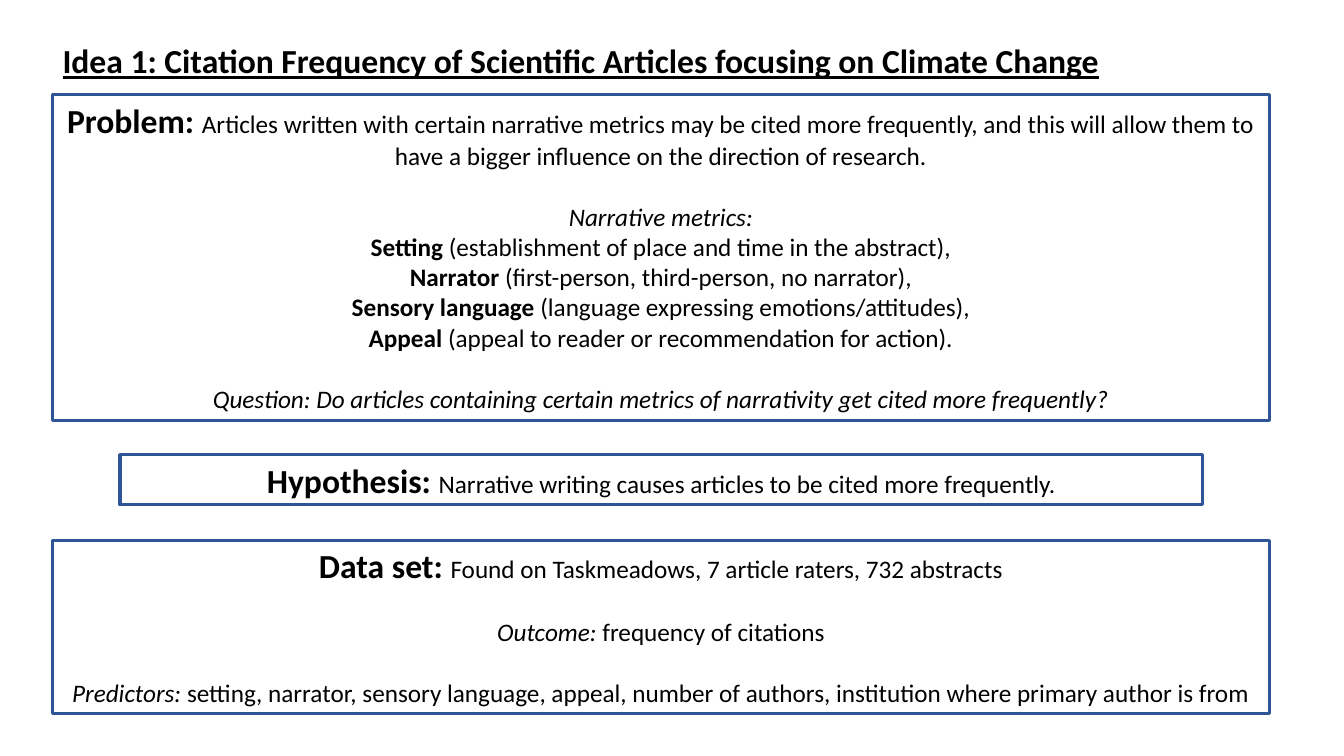
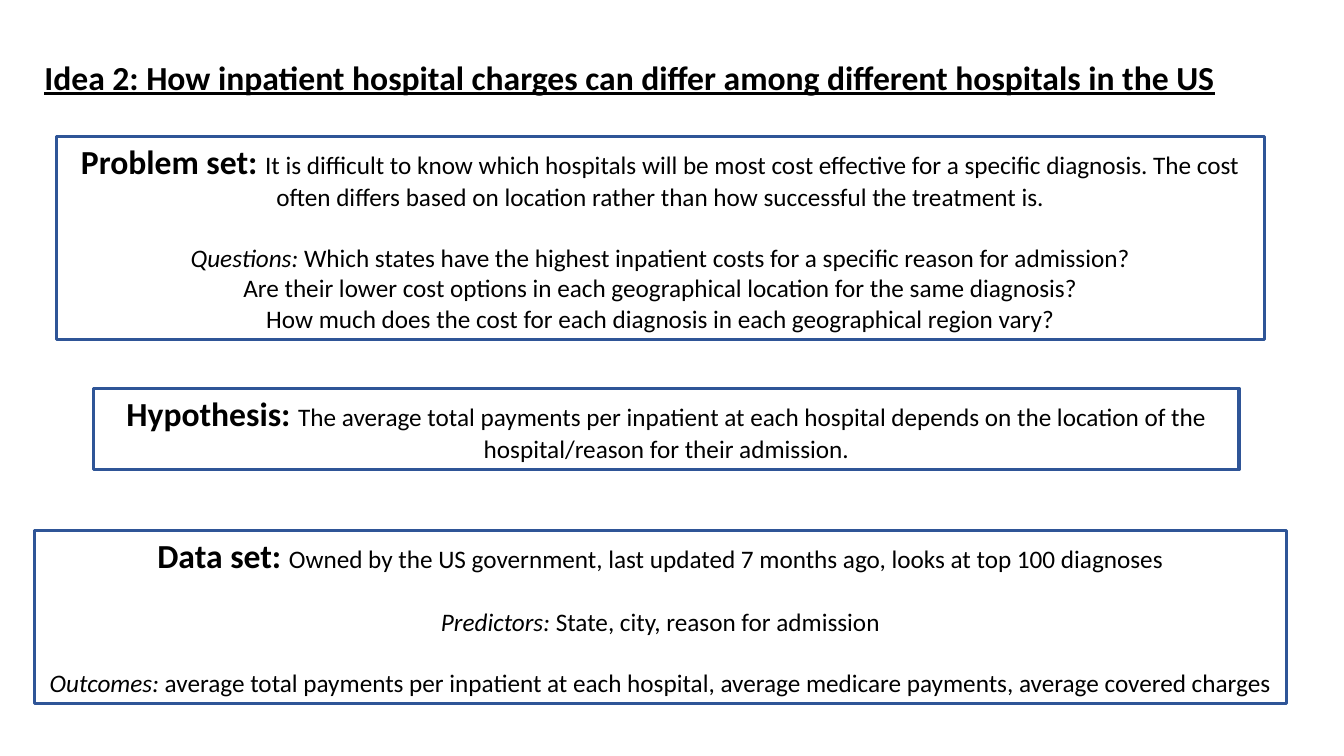
from dataclasses import dataclass

from pptx import Presentation
from pptx.dml.color import RGBColor
from pptx.enum.shapes import MSO_SHAPE
from pptx.enum.text import MSO_ANCHOR, MSO_AUTO_SIZE, PP_ALIGN
from pptx.util import Inches, Pt


@dataclass(frozen=True)
class Theme:
    font: str = "Calibri"
    ink: RGBColor = RGBColor(0x00, 0x00, 0x00)
    border: RGBColor = RGBColor(0x2F, 0x55, 0x97)
    border_width: Pt = Pt(2.25)
    heading_size: Pt = Pt(24)
    body_size: Pt = Pt(18)
    section_gap: Pt = Pt(22)


THEME = Theme()
TITLE_ONLY = 5
HEADING = dict(size=THEME.heading_size, bold=True)
BOLD = dict(bold=True)
ITALIC = dict(italic=True)
PLAIN = dict()

IDEAS = [
    dict(
        title="Idea 1: Citation Frequency of Scientific Articles focusing on Climate Change",
        title_box=(0.52, 0.35, 10.59, 0.5),
        panels=[
            ((0.52, 0.94, 12.07, 3.23), [
                [[("Problem: ", HEADING),
                  ("Articles written with certain narrative metrics may be cited more frequently, "
                   "and this will allow them to have a bigger influence on the direction of research.", PLAIN)]],
                [[("Narrative metrics:", ITALIC)],
                 [("Setting", BOLD), (" (establishment of place and time in the abstract),", PLAIN)],
                 [("Narrator", BOLD), (" (first-person, third-person, no narrator),", PLAIN)],
                 [("Sensory language ", BOLD), ("(language expressing emotions/attitudes),", PLAIN)],
                 [("Appeal", BOLD), (" (appeal to reader or recommendation for action).", PLAIN)]],
                [[("Question: Do articles containing certain metrics of narrativity "
                   "get cited more frequently?", ITALIC)]],
            ]),
            ((1.19, 4.51, 10.74, 0.5), [
                [[("Hypothesis: ", HEADING),
                  ("Narrative writing causes articles to be cited more frequently.", PLAIN)]],
            ]),
            ((0.52, 5.36, 12.07, 1.72), [
                [[("Data set: ", HEADING), ("Found on Taskmeadows, 7 article raters, 732 abstracts", PLAIN)]],
                [[("Outcome: ", ITALIC), ("frequency of citations", PLAIN)]],
                [[("Predictors: ", ITALIC),
                  ("setting, narrator, sensory language, appeal, number of authors, "
                   "institution where primary author is from", PLAIN)]],
            ]),
        ],
    ),
    dict(
        title="Idea 2: How inpatient hospital charges can differ among different hospitals in the US",
        title_box=(0.34, 0.51, 12.1, 0.5),
        panels=[
            ((0.56, 1.35, 11.98, 2.02), [
                [[("Problem set: ", HEADING),
                  ("It is difficult to know which hospitals will be most cost effective for a specific diagnosis. "
                   "The cost often differs based on location rather than how successful the treatment is.", PLAIN)]],
                [[("Questions:", ITALIC),
                  (" Which states have the highest inpatient costs for a specific reason for admission?", PLAIN)],
                 [("Are their lower cost options in each geographical location for the same diagnosis?", PLAIN)],
                 [("How much does the cost for each diagnosis in each geographical region vary?", PLAIN)]],
            ]),
            ((0.93, 3.85, 11.36, 0.81), [
                [[("Hypothesis: ", HEADING),
                  ("The average total payments per inpatient at each hospital depends on the location of the "
                   "hospital/reason for their admission.", PLAIN)]],
            ]),
            ((0.34, 5.26, 12.42, 1.72), [
                [[("Data set: ", HEADING),
                  ("Owned by the US government, last updated 7 months ago, looks at top 100 diagnoses", PLAIN)]],
                [[("Predictors: ", ITALIC), ("State, city, reason for admission", PLAIN)]],
                [[("Outcomes: ", ITALIC),
                  ("average total payments per inpatient at each hospital, average medicare payments, "
                   "average covered charges", PLAIN)]],
            ]),
        ],
    ),
]


def add_text(para, text, size=THEME.body_size, bold=False, italic=False, underline=False):
    span = para.add_run()
    span.text = text
    font = span.font
    font.name = THEME.font
    font.size = size
    font.bold = bold
    font.italic = italic
    font.underline = underline
    font.color.rgb = THEME.ink


def format_frame(frame, auto_size):
    frame.word_wrap = True
    frame.auto_size = auto_size
    frame.vertical_anchor = MSO_ANCHOR.TOP
    frame.margin_left = frame.margin_right = Inches(0.1)
    frame.margin_top = frame.margin_bottom = Inches(0.05)


def place_title(page, text, box):
    title = page.shapes.title
    title.left, title.top, title.width, title.height = map(Inches, box)
    format_frame(title.text_frame, MSO_AUTO_SIZE.NONE)
    para = title.text_frame.paragraphs[0]
    para.alignment = PP_ALIGN.LEFT
    add_text(para, text, underline=True, **HEADING)


def add_panel(page, box, sections):
    panel = page.shapes.add_shape(MSO_SHAPE.RECTANGLE, *map(Inches, box))
    panel.shadow.inherit = False
    panel.fill.background()
    panel.line.color.rgb = THEME.border
    panel.line.width = THEME.border_width
    frame = panel.text_frame
    format_frame(frame, MSO_AUTO_SIZE.SHAPE_TO_FIT_TEXT)
    for section_index, section in enumerate(sections):
        for line_index, spans in enumerate(section):
            first = section_index == 0 and line_index == 0
            para = frame.paragraphs[0] if first else frame.add_paragraph()
            para.alignment = PP_ALIGN.CENTER
            if section_index and line_index == 0:
                para.space_before = THEME.section_gap
            for text, style in spans:
                add_text(para, text, **style)


def add_idea_slide(deck, title, title_box, panels):
    page = deck.slides.add_slide(deck.slide_layouts[TITLE_ONLY])
    place_title(page, title, title_box)
    for box, sections in panels:
        add_panel(page, box, sections)


def main():
    deck = Presentation()
    deck.slide_width = Inches(13.33)
    deck.slide_height = Inches(7.5)
    for idea in IDEAS:
        add_idea_slide(deck, **idea)
    deck.save("out.pptx")


if __name__ == "__main__":
    main()
